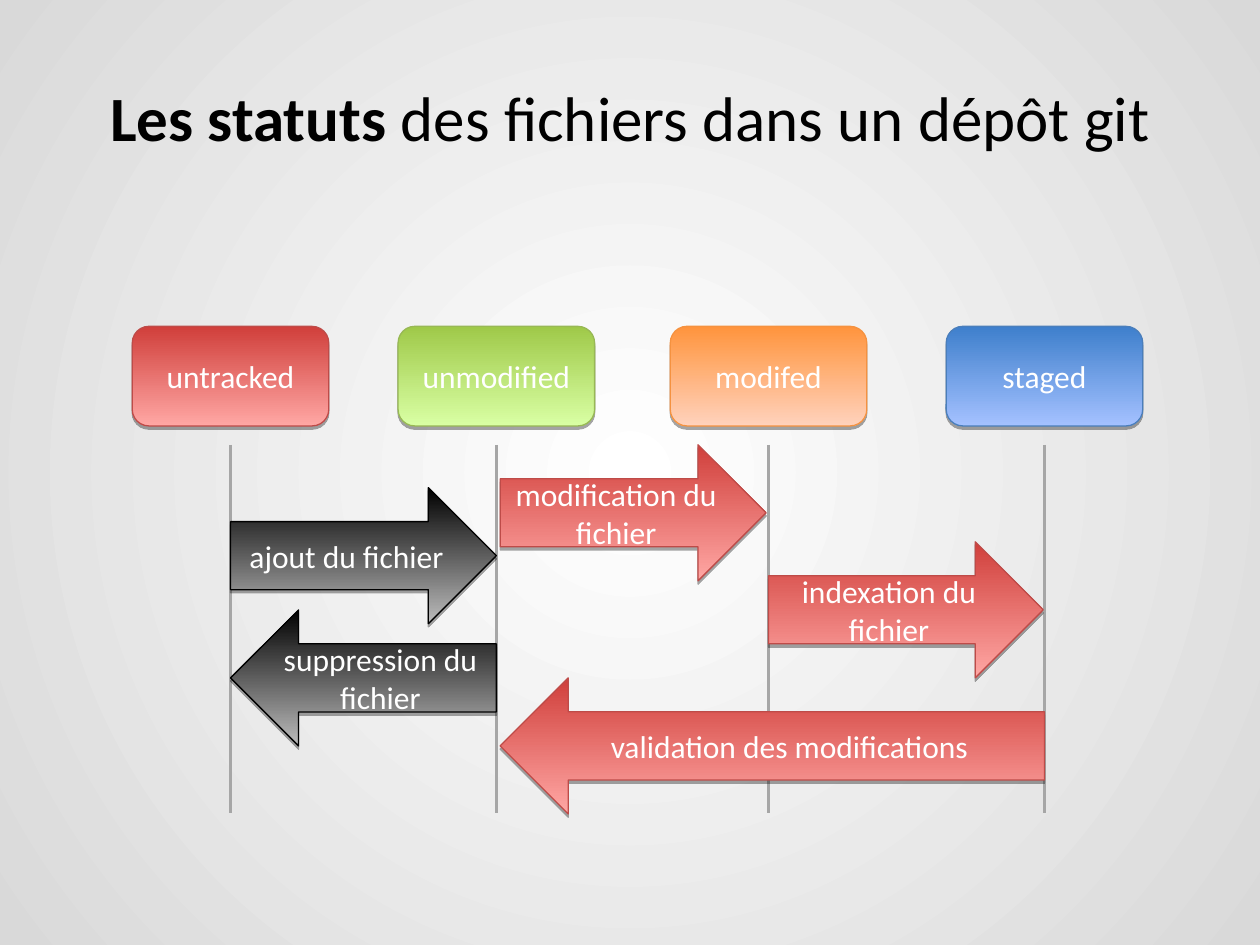
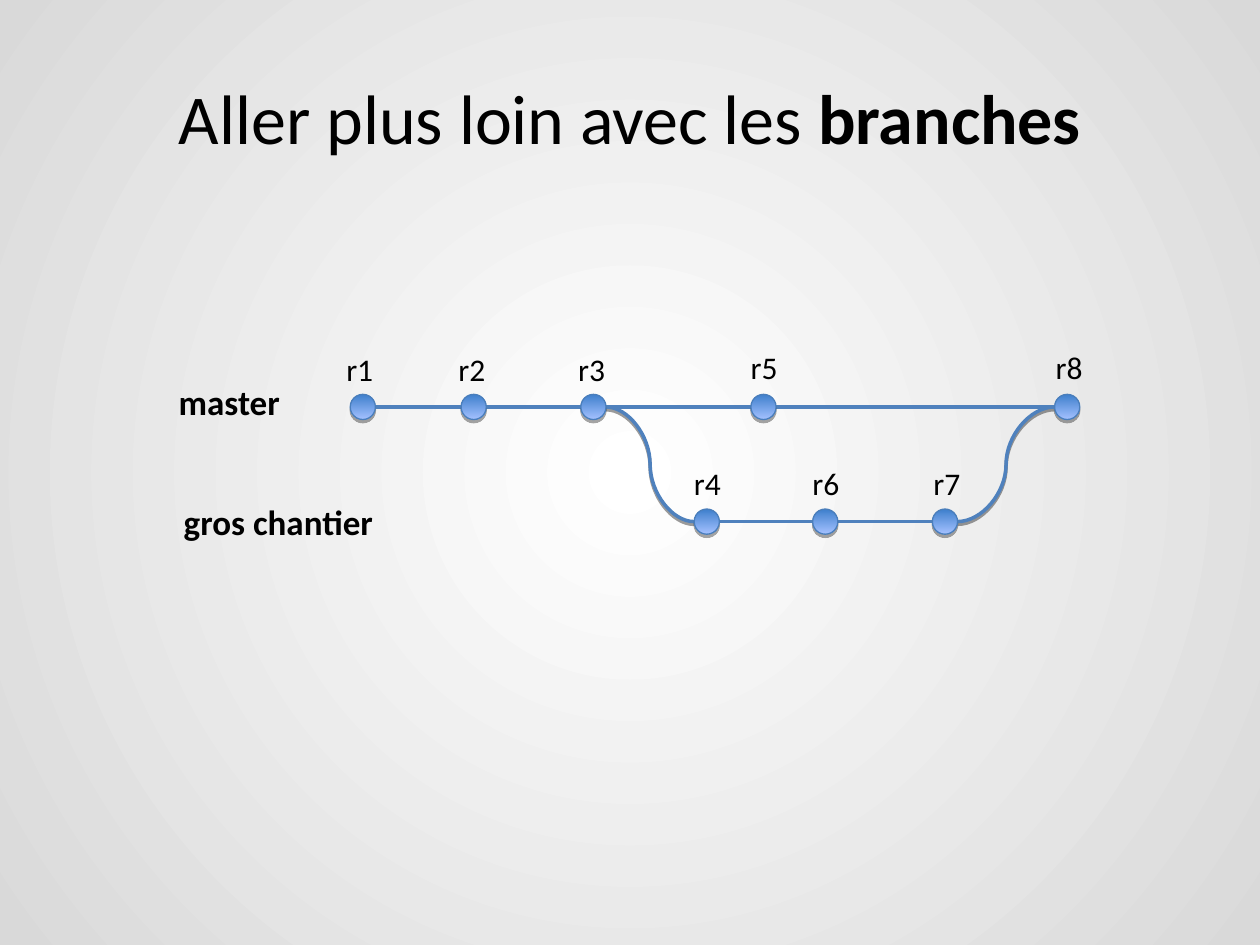
from lxml import etree
from pptx import Presentation
from pptx.dml.color import RGBColor
from pptx.enum import shapes, text
from pptx.oxml import ns
from pptx.util import Inches, Pt

COLORS = {
    "ink": "000000", "white": "FFFFFF", "backdrop": "D9D9D9",
    "lifeline": "A6A6A6", "branch": "4F81BD",
}
# Gradient top, gradient bottom, outline
GLOSS = {
    "red": ("D03F3B", "FFA7A4", "BE4B48"),
    "green": ("9FC949", "D9FFA4", "98B855"),
    "orange": ("FF943D", "FFD2BC", "F59240"),
    "blue": ("3E7FCC", "A4C1FF", "4A7EBB"),
    "black": ("000000", "BCBCBC", "000000"),
}
TITLE = {"anchor": text.MSO_ANCHOR.MIDDLE, "wrap": True}
INSIDE = {"anchor": text.MSO_ANCHOR.MIDDLE, "wrap": True, "color": "white"}
LABEL = {"anchor": text.MSO_ANCHOR.TOP, "wrap": False}


def outline(drawn, color, width, shadow=None):
    """Set the line and, given (opacity %, distance pt), a shadow below."""
    drawn.line.color.rgb = RGBColor.from_string(color)
    drawn.line.width = Pt(width)
    effects = etree.SubElement(drawn.element.spPr, ns.qn("a:effectLst"))
    if shadow:
        opacity, distance = shadow
        cast = etree.SubElement(effects, ns.qn("a:outerShdw"), blurRad="0",
                                dist=str(Pt(distance)), dir="5400000", rotWithShape="0")
        tint = etree.SubElement(cast, ns.qn("a:srgbClr"), val=COLORS["ink"])
        etree.SubElement(tint, ns.qn("a:alpha"), val=str(opacity * 1000))


def write(box, runs, size, wrap, anchor, color="ink"):
    """Fill one centred paragraph with (words, bold) runs."""
    frame = box.text_frame
    for attribute, value in {
        "word_wrap": wrap, "vertical_anchor": anchor,
        "margin_left": Inches(0.1), "margin_right": Inches(0.1),
        "margin_top": Inches(0.05), "margin_bottom": Inches(0.05),
    }.items():
        setattr(frame, attribute, value)
    paragraph = frame.paragraphs[0]
    paragraph.alignment = text.PP_ALIGN.CENTER
    for words, bold in runs:
        run = paragraph.add_run()
        run.text = words
        for attribute, value in {"name": "Calibri", "size": Pt(size), "bold": bold}.items():
            setattr(run.font, attribute, value)
        run.font.color.rgb = RGBColor.from_string(COLORS[color])


deck = Presentation()
deck.slide_width, deck.slide_height = Inches(10), Inches(7.5)

# Shared background: circular gradient on the master
master = deck.slide_master
backdrop = master.background.fill
backdrop.gradient()
for stop, color in zip(backdrop.gradient_stops, ("white", "backdrop")):
    stop.color.rgb = RGBColor.from_string(COLORS[color])
gradient = master.element.find(".//" + ns.qn("a:gradFill"))
gradient.remove(gradient.find(ns.qn("a:lin")))
circle = etree.SubElement(gradient, ns.qn("a:path"), path="circle")
etree.SubElement(circle, ns.qn("a:fillToRect"), l="50000", t="50000", r="50000", b="50000")

# Slides and their titles
pages = []
for size, runs in (
    (36, [("Les statuts ", True), ("des fichiers dans un dépôt git", False)]),
    (40, [("Aller plus loin avec les ", False), ("branches", True)]),
):
    page = deck.slides.add_slide(deck.slide_layouts[6])
    title = page.shapes.add_textbox(Inches(0.5), Inches(0.3), Inches(9), Inches(1.25))
    write(title, runs, size, **TITLE)
    pages.append(page.shapes)
statuses, branches = pages

# Slide 1: glossy pieces as canvas, kind, left, top, width, height, gloss, words, flipped
ROUND, ARROW = shapes.MSO_SHAPE.ROUNDED_RECTANGLE, shapes.MSO_SHAPE.RIGHT_ARROW
DOT = shapes.MSO_SHAPE.OVAL
status_axes = {"untracked": (1.83, "red"), "unmodified": (3.94, "green"),
               "modifed": (6.1, "orange"), "staged": (8.29, "blue")}
pieces = [(statuses, ROUND, axis - 0.78, 2.59, 1.56, 0.79, gloss, status, False)
          for status, (axis, gloss) in status_axes.items()]
for left, top, width, gloss, action, flipped in (
    (1.83, 3.87, 2.11, "black", "ajout du fichier", False),
    (1.83, 4.84, 2.11, "black", "suppression du fichier", True),
    (3.97, 3.53, 2.11, "red", "modification du fichier", False),
    (6.1, 4.3, 2.18, "red", "indexation du fichier", False),
    (3.97, 5.38, 4.32, "red", "validation des modifications", True),
):
    pieces.append((statuses, ARROW, left, top, width, 1.08, gloss, action, flipped))

# Lifelines under the statuses
for axis, _ in status_axes.values():
    lifeline = statuses.add_connector(shapes.MSO_CONNECTOR.STRAIGHT, Inches(axis),
                                      Inches(3.53), Inches(axis), Inches(6.45))
    outline(lifeline, COLORS["lifeline"], 2)

# Slide 2: commits as dot left, row, label left, label top, parents
MASTER_ROW, WORK_ROW, DOT_SIZE = 3.23, 4.14, 0.2
commits = {
    "r1": (2.78, MASTER_ROW, 2.65, 2.73, []),
    "r2": (3.66, MASTER_ROW, 3.54, 2.73, ["r1"]),
    "r3": (4.61, MASTER_ROW, 4.49, 2.73, ["r2"]),
    "r4": (5.51, WORK_ROW, 5.41, 3.63, ["r3"]),
    "r5": (5.96, MASTER_ROW, 5.86, 2.71, ["r3"]),
    "r6": (6.45, WORK_ROW, 6.35, 3.63, ["r4"]),
    "r7": (7.4, WORK_ROW, 7.31, 3.63, ["r6"]),
    "r8": (8.37, MASTER_ROW, 8.28, 2.71, ["r7", "r5"]),
}
labels = [("master", 1.32, 2.97, 1, 0.43, 20, True),
          ("gros chantier", 1.36, 3.92, 1.7, 0.43, 20, True)]
for commit, (left, row, label_left, label_top, parents) in commits.items():
    pieces.append((branches, DOT, left, row - DOT_SIZE / 2, DOT_SIZE, DOT_SIZE,
                   "blue", None, False))
    labels.append((commit, label_left, label_top, 0.41, 0.4, 18, False))
    for parent in parents:
        parent_left, parent_row = commits[parent][:2]
        curved = parent_row != row
        kind = shapes.MSO_CONNECTOR.CURVE if curved else shapes.MSO_CONNECTOR.STRAIGHT
        link = branches.add_connector(kind, Inches(parent_left + DOT_SIZE),
                                      Inches(parent_row), Inches(left), Inches(row))
        outline(link, COLORS["branch"], 2, (38, 1.6) if curved else None)

# Status boxes, action arrows and commit dots
for canvas, kind, left, top, width, height, gloss, words, flipped in pieces:
    piece = canvas.add_shape(kind, Inches(left), Inches(top), Inches(width), Inches(height))
    upper, lower, edge = GLOSS[gloss]
    piece.fill.gradient()
    piece.fill.gradient_angle = 270
    for stop, color in zip(piece.fill.gradient_stops, (upper, lower)):
        stop.color.rgb = RGBColor.from_string(color)
    outline(piece, edge, 0.75, (35, 1.8))
    if flipped:
        piece.element.spPr.xfrm.set("flipH", "1")
    if words:
        write(piece, [(words, False)], 18, **INSIDE)

# Branch and commit names, with a little slack on both sides to stay on one line
SLACK = 0.03
for words, left, top, width, height, size, bold in labels:
    label = branches.add_textbox(Inches(left - SLACK), Inches(top),
                                 Inches(width + 2 * SLACK), Inches(height))
    write(label, [(words, bold)], size, **LABEL)

deck.save("out.pptx")
